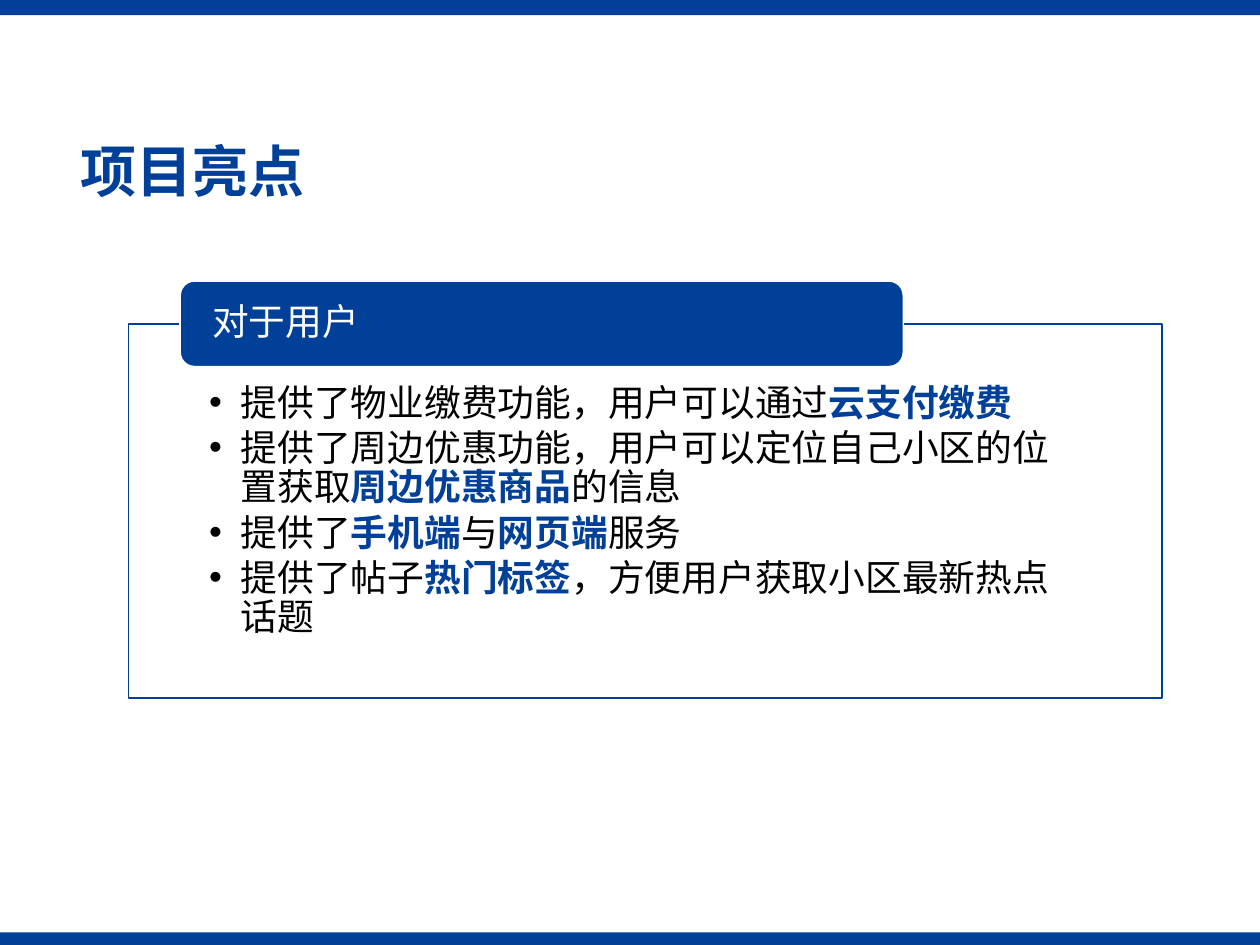
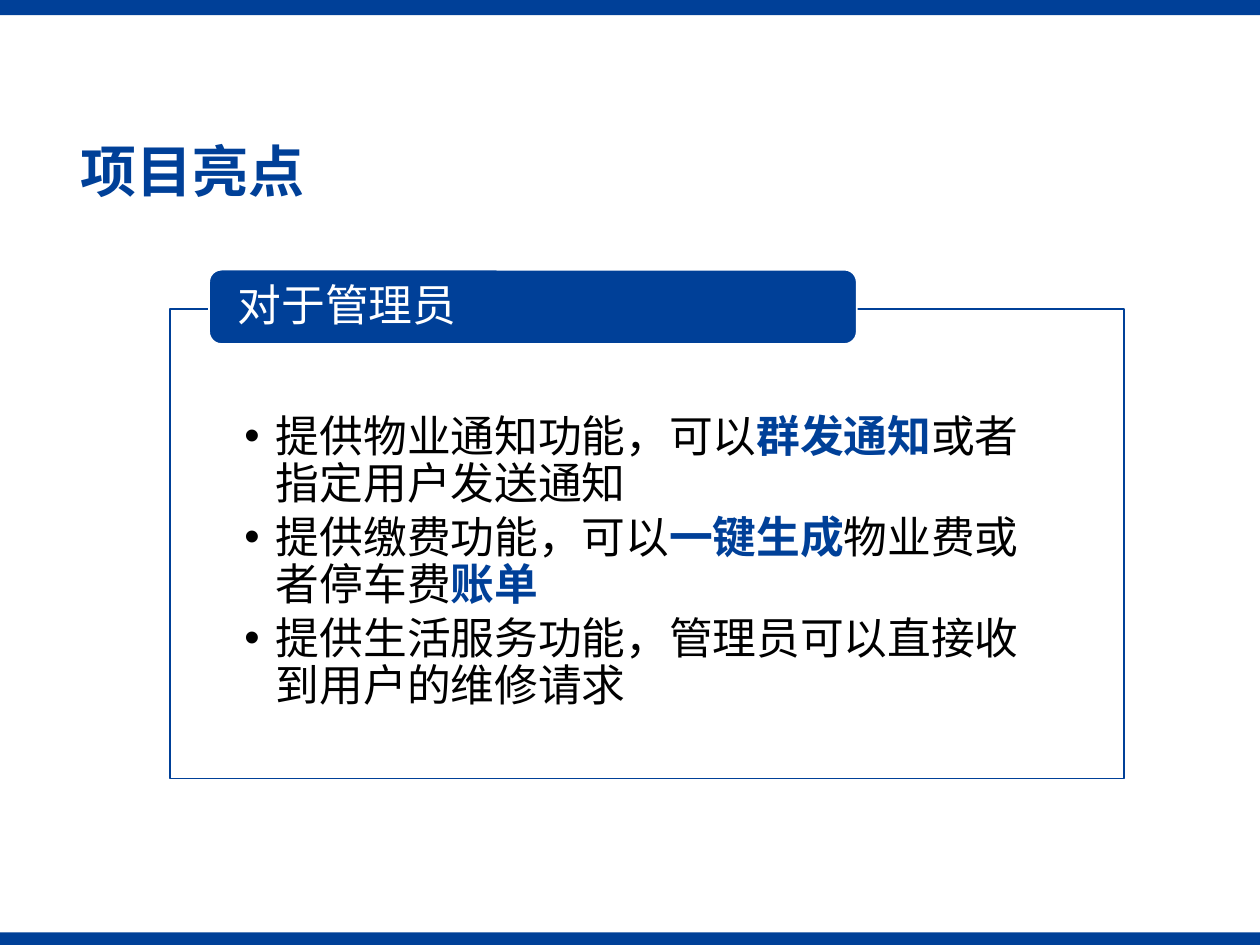
from dataclasses import dataclass

from lxml.etree import SubElement
from pptx import Presentation
from pptx.dml.color import RGBColor
from pptx.enum.shapes import MSO_SHAPE
from pptx.enum.text import MSO_ANCHOR, MSO_AUTO_SIZE, PP_ALIGN
from pptx.oxml.ns import qn
from pptx.util import Inches, Pt

# Content: runs between asterisks are highlighted.
# Boxes are left, top, width, height; insets are left, top, right, bottom.
TITLE = "项目亮点"
AUDIENCES = [
    {
        "heading": "对于用户",
        "points": [
            "提供了物业缴费功能，用户可以通过*云支付缴费*",
            "提供了周边优惠功能，用户可以定位自己小区的位置获取*周边优惠商品*的信息",
            "提供了*手机端*与*网页端*服务",
            "提供了帖子*热门标签*，方便用户获取小区最新热点话题",
        ],
        "size": 21,
        "panel": (1.02, 2.57, 8.2, 2.97),
        "panel_insets": (0.64, 0.48, 0.64, 0.16),
        "tab": (1.43, 2.23, 5.74, 0.68),
        "tab_inset": 0.22,
    },
    {
        "heading": "对于管理员",
        "points": [
            "提供物业通知功能，可以*群发通知*或者指定用户发送通知",
            "提供缴费功能，可以*一键生成*物业费或者停车费*账单*",
            "提供生活服务功能，管理员可以直接收到用户的维修请求",
        ],
        "size": 25,
        "panel": (1.35, 2.45, 7.57, 3.73),
        "panel_insets": (0.59, 0.84, 0.59, 0.19),
        "tab": (1.66, 2.14, 5.14, 0.59),
        "tab_inset": 0.2,
    },
]


@dataclass(frozen=True)
class Theme:
    blue: RGBColor = RGBColor(0x00, 0x40, 0x98)
    white: RGBColor = RGBColor(0xFF, 0xFF, 0xFF)
    black: RGBColor = RGBColor(0x00, 0x00, 0x00)
    font: str = "Noto Sans CJK SC"
    title_size: int = 32
    line_spacing: float = 0.9
    point_gap: float = 0.15  # share of the type size
    hanging: float = 0.25
    outline: float = 1


THEME = Theme()
SLIDE_W, SLIDE_H = 10, 7.5
TITLE_BOX = (0.54, 1.07, 9.16, 0.63)
BANDS = [(0, SLIDE_H - 0.1, SLIDE_W, 0.1), (0, 0, SLIDE_W, 0.12)]


def place(shape, box):
    shape.left, shape.top, shape.width, shape.height = map(Inches, box)


def paint(shape, fill, line=None):
    shape.fill.solid()
    shape.fill.fore_color.rgb = fill
    if line is None:
        shape.line.fill.background()
    else:
        shape.line.color.rgb = line
        shape.line.width = Pt(THEME.outline)


def add_box(slide, kind, box, fill, line=None):
    shape = slide.shapes.add_shape(kind, *map(Inches, box))
    shape.shadow.inherit = False
    paint(shape, fill, line)
    return shape


def write(shape, paragraphs, *, size, color, bold=False, insets=(0.1, 0.05, 0.1, 0.05),
          anchor=MSO_ANCHOR.MIDDLE, gap=0, hanging=0):
    frame = shape.text_frame
    frame.word_wrap = True
    frame.auto_size = MSO_AUTO_SIZE.NONE
    frame.vertical_anchor = anchor
    (frame.margin_left, frame.margin_top,
     frame.margin_right, frame.margin_bottom) = map(Inches, insets)
    for index, text in enumerate(paragraphs):
        paragraph = frame.add_paragraph() if index else frame.paragraphs[0]
        paragraph.alignment = PP_ALIGN.LEFT
        paragraph.line_spacing = THEME.line_spacing
        paragraph.space_before = Pt(0)
        paragraph.space_after = Pt(size * gap)
        if hanging:
            properties = paragraph._p.get_or_add_pPr()
            properties.set("marL", str(Inches(hanging)))
            properties.set("indent", str(-Inches(hanging)))
        for part, words in enumerate(text.split("*")):
            if not words:
                continue
            highlighted = part % 2 == 1
            run = paragraph.add_run()
            run.text = words
            run.font.size = Pt(size)
            run.font.bold = bold or highlighted
            run.font.color.rgb = THEME.blue if highlighted else color
            run.font.name = THEME.font
            SubElement(run.font._element, qn("a:ea"), typeface=THEME.font)


def add_bands(slide):
    """Draw the bands and move them to the layout, so all slides share them."""
    for box in BANDS:
        band = add_box(slide, MSO_SHAPE.RECTANGLE, box, THEME.blue)
        slide.slide_layout.shapes.element.append(band.element)


def fill_slide(slide, audience):
    # Title
    title = slide.shapes.title
    place(title, TITLE_BOX)
    write(title, [TITLE], size=THEME.title_size, color=THEME.blue, bold=True)

    # Outlined panel with the list
    panel = slide.placeholders[1]
    place(panel, audience["panel"])
    paint(panel, THEME.white, THEME.blue)
    write(panel, audience["points"], size=audience["size"], color=THEME.black,
          insets=audience["panel_insets"], anchor=MSO_ANCHOR.TOP,
          gap=THEME.point_gap, hanging=THEME.hanging)

    # Heading tab across the top edge of the panel
    tab = add_box(slide, MSO_SHAPE.ROUNDED_RECTANGLE, audience["tab"],
                  THEME.blue, THEME.white)
    inset = audience["tab_inset"]
    write(tab, [audience["heading"]], size=audience["size"], color=THEME.white,
          insets=(inset, 0, inset, 0))


def main():
    deck = Presentation()
    deck.slide_width, deck.slide_height = Inches(SLIDE_W), Inches(SLIDE_H)
    layout = deck.slide_layouts[1]
    for index, audience in enumerate(AUDIENCES):
        slide = deck.slides.add_slide(layout)
        if index == 0:
            add_bands(slide)
        fill_slide(slide, audience)
    deck.save("out.pptx")


if __name__ == "__main__":
    main()
